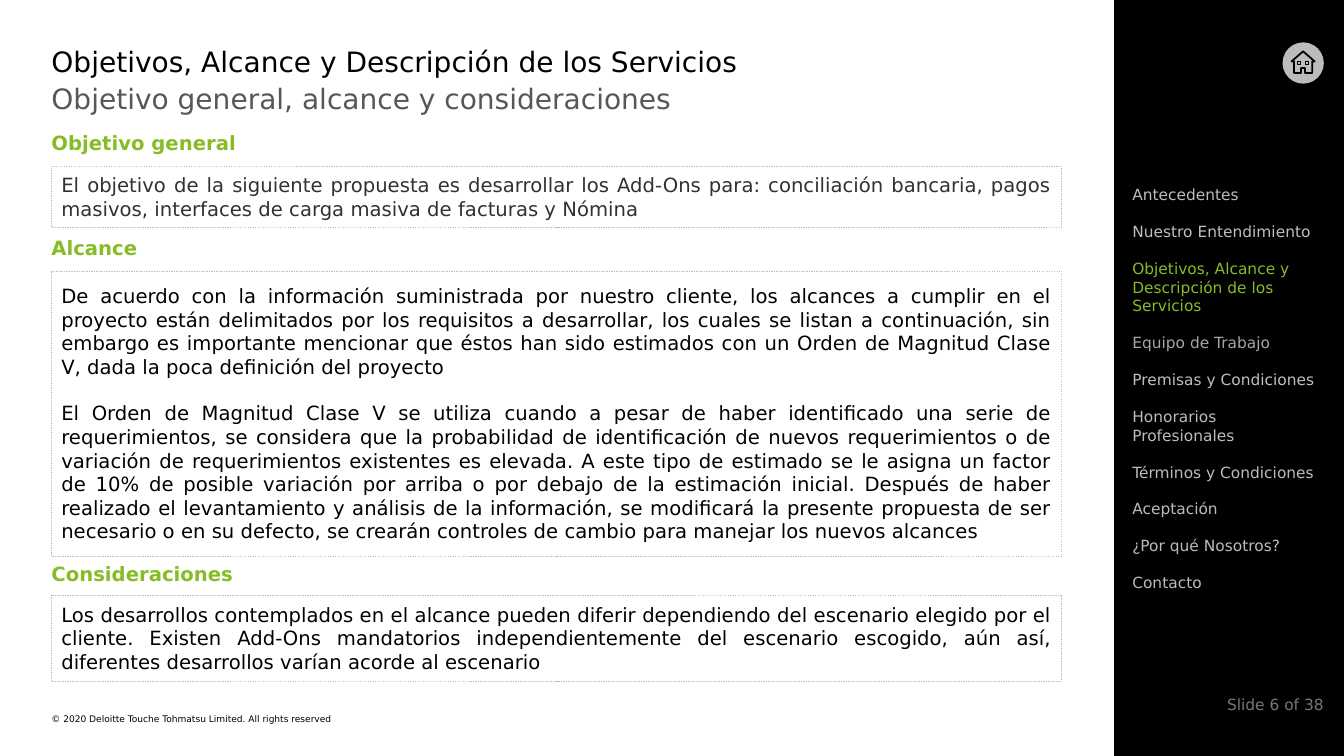
import pptx
import pptx.dml.color
import pptx.enum.dml
import pptx.enum.shapes
import pptx.enum.text
import pptx.oxml
import pptx.oxml.ns
import pptx.util

Inches = pptx.util.Inches
Pt = pptx.util.Pt
Align = pptx.enum.text.PP_ALIGN
AutoSize = pptx.enum.text.MSO_AUTO_SIZE
Preset = pptx.enum.shapes.MSO_SHAPE

FONT = "DejaVu Sans"
COLORS = {
    "black": "000000",
    "green": "86BC25",
    "subtitle": "575757",
    "objective": "313131",
    "frame": "BFBFBF",
    "nav": "BBBCBC",
    "nav_light": "BFBFBF",
    "nav_dim": "A6A6A6",
    "page": "75787B",
}
LEFT, WIDTH = 0.51, 10.02
NO_INSETS = (0, 0, 0, 0)
TEXT_INSETS = (0.1, 0.05, 0.1, 0.05)
HEADING_INSETS = (0.04, 0.05, 0.04, 0.05)
NAV_SIZE = 11
NAV_ROW = NAV_SIZE * 1.2 / 72

# Heading, heading top, text top, text height, frame top, frame height, color, paragraphs
SECTIONS = [
    ("Objetivo general", 1.25, 1.67, 0.57, 1.65, 0.6, "objective", [
        "El objetivo de la siguiente propuesta es desarrollar los Add-Ons para: "
        "conciliación bancaria, pagos masivos, interfaces de carga masiva de "
        "facturas y Nómina"]),
    ("Alcance", 2.29, 2.77, 2.93, 2.69, 2.83, "black", [
        "De acuerdo con la información suministrada por nuestro cliente, los "
        "alcances a cumplir en el proyecto están delimitados por los requisitos a "
        "desarrollar, los cuales se listan a continuación, sin embargo es importante "
        "mencionar que éstos han sido estimados con un Orden de Magnitud Clase V, "
        "dada la poca definición del proyecto",
        "El Orden de Magnitud Clase V se utiliza cuando a pesar de haber "
        "identificado una serie de requerimientos, se considera que la probabilidad "
        "de identificación de nuevos requerimientos o de variación de requerimientos "
        "existentes es elevada. A este tipo de estimado se le asigna un factor de 10% "
        "de posible variación por arriba o por debajo de la estimación inicial. "
        "Después de haber realizado el levantamiento y análisis de la información, se "
        "modificará la presente propuesta de ser necesario o en su defecto, se "
        "crearán controles de cambio para manejar los nuevos alcances"]),
    ("Consideraciones", 5.53, 5.93, 0.81, 5.9, 0.86, "black", [
        "Los desarrollos contemplados en el alcance pueden diferir dependiendo del "
        "escenario elegido por el cliente. Existen Add-Ons mandatorios "
        "independientemente del escenario escogido, aún así, diferentes desarrollos "
        "varían acorde al escenario"]),
]

# Entry, color, number of lines
NAVIGATION = [
    ("Antecedentes", "nav", 1),
    ("Nuestro Entendimiento", "nav_light", 1),
    ("Objetivos, Alcance y Descripción de los Servicios", "green", 3),
    ("Equipo de Trabajo", "nav_dim", 1),
    ("Premisas y Condiciones", "nav_light", 1),
    ("Honorarios Profesionales", "nav", 2),
    ("Términos y Condiciones", "nav", 1),
    ("Aceptación", "nav", 1),
    ("¿Por qué Nosotros?", "nav", 1),
    ("Contacto", "nav", 1),
]

# House outline inside the home button, in steps of 0.005 inch
HOUSE = [(18, 38), (41, 18), (64, 38), (59, 38), (59, 61), (45, 61),
         (45, 51), (37, 51), (37, 61), (23, 61), (23, 38)]


def rgb(name):
    return pptx.dml.color.RGBColor.from_string(COLORS[name])


def lengths(*values):
    return [Inches(value) for value in values]


def write(box, *texts, size=14, color="black", bold=False, align=Align.LEFT,
          insets=NO_INSETS, gap=0, fit=AutoSize.NONE, bullets_off=False):
    """Fill a box with one paragraph per text, all in the same format."""
    frame = box.text_frame
    frame.word_wrap = True
    frame.auto_size = fit
    frame.vertical_anchor = pptx.enum.text.MSO_ANCHOR.TOP
    (frame.margin_left, frame.margin_top,
     frame.margin_right, frame.margin_bottom) = lengths(*insets)
    for index, text in enumerate(texts):
        para = frame.add_paragraph() if index else frame.paragraphs[0]
        para.alignment = align
        para.space_before = Pt(gap if index else 0)
        if bullets_off:
            properties = para._p.get_or_add_pPr()
            properties.set("marL", "0")
            properties.set("indent", "0")
            properties.append(pptx.oxml.parse_xml(
                "<a:buNone %s/>" % pptx.oxml.ns.nsdecls("a")))
        span = para.add_run()
        span.text = text
        span.font.name = FONT
        span.font.size = Pt(size)
        span.font.bold = bold
        span.font.color.rgb = rgb(color)


def add_text(shapes, place, *texts, **look):
    write(shapes.add_textbox(*lengths(*place)), *texts, **look)


def paint(shape, fill=None, line=None, width=0.25):
    shape.shadow.inherit = False
    if fill:
        shape.fill.solid()
        shape.fill.fore_color.rgb = rgb(fill)
    else:
        shape.fill.background()
    if line:
        shape.line.color.rgb = rgb(line)
        shape.line.width = Pt(width)
    else:
        shape.line.fill.background()


def add_preset(shapes, preset, place, **look):
    shape = shapes.add_shape(preset, *lengths(*place))
    paint(shape, **look)
    return shape


def place_placeholder(box, place, text, **look):
    box.left, box.top, box.width, box.height = lengths(*place)
    write(box, text, size=20, **look)


def add_section(shapes, heading, heading_top, text_top, text_height,
                frame_top, frame_height, color, texts):
    add_text(shapes, (0.47, heading_top, 4.21, 0.36), heading,
             color="green", bold=True, insets=HEADING_INSETS)
    group = shapes.add_group_shape().shapes
    add_text(group, (LEFT, text_top, WIDTH, text_height), *texts, color=color,
             align=Align.JUSTIFY, insets=TEXT_INSETS, gap=16.5,
             fit=AutoSize.SHAPE_TO_FIT_TEXT)
    border = add_preset(group, Preset.RECTANGLE,
                        (LEFT, frame_top, WIDTH, frame_height), line="frame")
    border.line.dash_style = pptx.enum.dml.MSO_LINE.DASH


def add_navigation(shapes):
    top = 1.84
    for entry, color, rows in NAVIGATION:
        add_text(shapes, (11.23, top, 1.89, rows * NAV_ROW), entry,
                 size=NAV_SIZE, color=color, fit=AutoSize.SHAPE_TO_FIT_TEXT)
        top += (rows + 1) * NAV_ROW


def add_home_button(shapes):
    left, top = 12.72, 0.42
    add_preset(shapes, Preset.OVAL, (left, top, 0.41, 0.41), fill="nav")
    builder = shapes.build_freeform(*HOUSE[0], scale=Inches(0.005))
    builder.add_line_segments(HOUSE[1:], close=True)
    paint(builder.convert_to_shape(*lengths(left, top)), line="black", width=1.25)
    for window_left in (12.87, 12.95):
        add_preset(shapes, Preset.RECTANGLE, (window_left, 0.61, 0.03, 0.03),
                   line="black", width=1)


def main():
    deck = pptx.Presentation()
    deck.slide_width, deck.slide_height = lengths(13.33, 7.5)
    slide = deck.slides.add_slide(deck.slide_layouts[1])
    shapes = slide.shapes

    # Title and subtitle
    place_placeholder(shapes.title, (LEFT, 0.44, WIDTH, 0.37),
                      "Objetivos, Alcance y Descripción de los Servicios")
    place_placeholder(slide.placeholders[1], (LEFT, 0.81, WIDTH, 0.83),
                      "Objetivo general, alcance y consideraciones",
                      color="subtitle", bullets_off=True)

    # Framed sections
    for section in SECTIONS:
        add_section(shapes, *section)

    # Side panel
    add_preset(shapes, Preset.RECTANGLE, (11.05, 0, 2.28, 7.5), fill="black")
    add_home_button(shapes)
    add_navigation(shapes)

    # Footer
    add_text(shapes, (LEFT, 7.08, 5.86, 0.11),
             "© 2020 Deloitte Touche Tohmatsu Limited. All rights reserved",
             size=6.5, fit=AutoSize.SHAPE_TO_FIT_TEXT)
    add_text(shapes, (11.24, 6.9, 1.89, 0.19), "Slide 6 of 38", size=11,
             color="page", align=Align.RIGHT, fit=AutoSize.SHAPE_TO_FIT_TEXT)

    deck.save("out.pptx")


if __name__ == "__main__":
    main()
